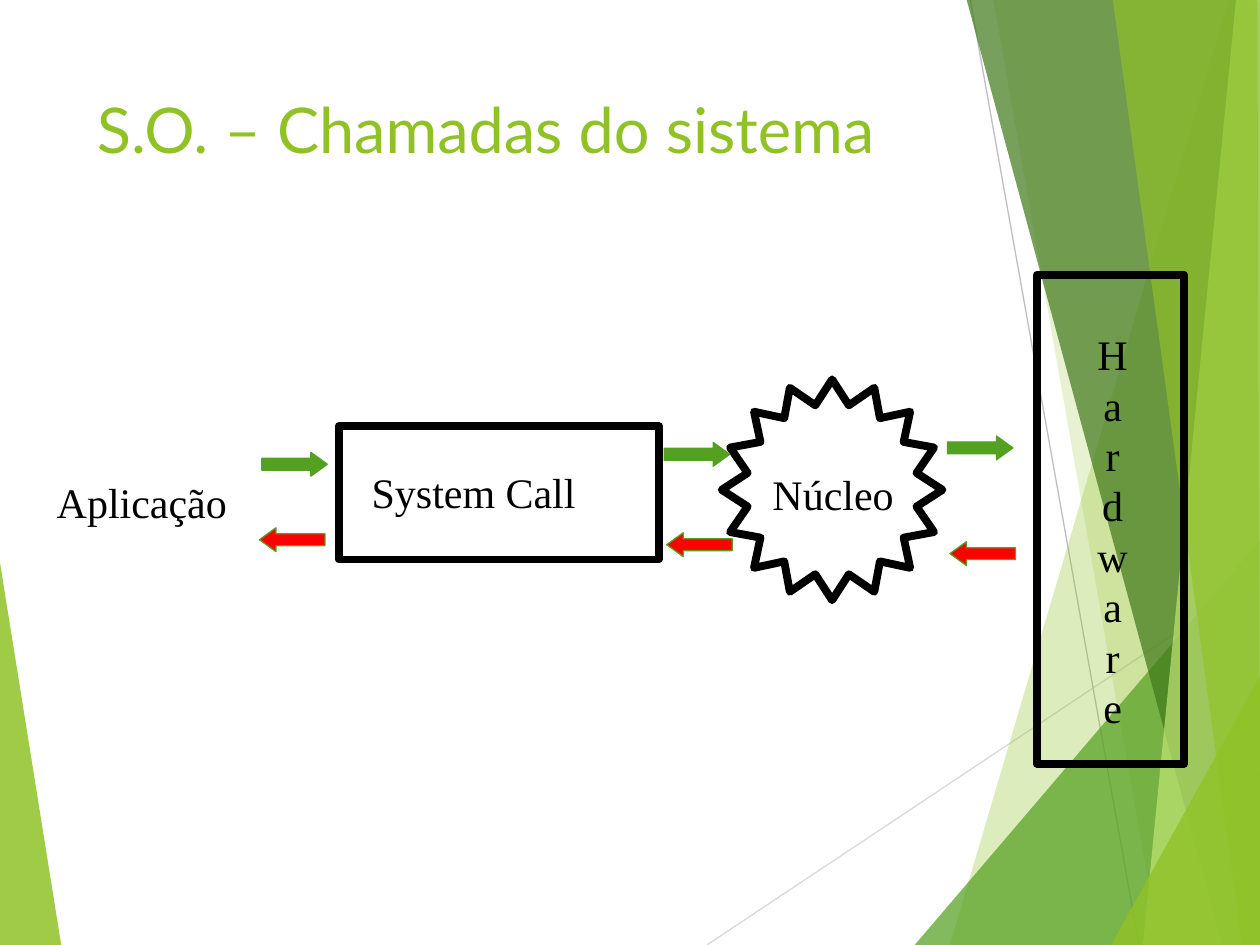
import pptx
import pptx.util
import pptx.dml.color
import pptx.enum.shapes
import pptx.enum.text
import pptx.oxml
import pptx.oxml.ns
from lxml import etree
from pptx.util import Cm

COLORS = {
    "lime": "90C226", "green": "54A021", "forest": "3F7819", "pale": "C0E474",
    "light_grey": "D9D9D9", "grey": "BFBFBF", "black": "000000", "red": "FF0000",
}
SHAPES = pptx.enum.shapes.MSO_SHAPE
ALIGN = pptx.enum.text.PP_ALIGN
ANCHOR = pptx.enum.text.MSO_ANCHOR
FIT = pptx.enum.text.MSO_AUTO_SIZE

LEFT_FACET = [([(-0.03, 11.15), (1.24, 19.08), (-0.03, 19.05)], "lime", 85)]
RAYS = [
    ((14.25, 19.05), (25.43, 11.61), "light_grey"),
    ((19.56, 0), (22.96, 19.05), "grey"),
]
RIGHT_FACETS = [
    ([(24.77, 0), (19.15, 19.05), (25.45, 19.08), (25.43, 0.03)], "lime", 30),
    ([(20.02, -0.03), (23.37, 19.05), (25.43, 19.05), (25.43, -0.03)], "lime", 20),
    ([(18.44, 19.05), (25.4, 10.9), (25.43, 19.05)], "green", 72),
    ([(19.48, -0.03), (24.64, 19.05), (25.43, 19.02), (25.43, -0.03)], "forest", 70),
    ([(24.92, -0.03), (23.04, 19.05), (25.43, 19.05), (25.4, -0.03)], "pale", 70),
    ([(22.43, -0.03), (25.04, 19.05), (25.4, 19.05), (25.35, -0.03)], "lime", 65),
    ([(22.4, 19.05), (25.43, 13.59), (25.43, 19.05)], "lime", 80),
]
STAGES = [
    (SHAPES.RECTANGLE, (6.83, 8.59, 6.45, 2.69)),
    (SHAPES.STAR_16_POINT, (14.55, 7.65, 4.45, 4.45)),
    (SHAPES.RECTANGLE, (20.9, 5.54, 2.97, 9.86)),
]
LABELS = [
    (["Aplicação"], (0.89, 9.47, 3.94, 1.27)),
    (["System Call"], (7.24, 9.27, 4.62, 1.27)),
    (["Núcleo"], (15.32, 9.32, 2.95, 1.27)),
    (list("Hardware"), (21.87, 6.5, 1.12, 8.38)),
]
REQUESTS = [(5.28, 9.12), (13.39, 8.92), (19.1, 8.79)]
REPLIES = [(19.15, 10.92), (13.44, 10.74), (5.23, 10.64)]


def rgb(color):
    """Return the named colour."""
    return pptx.dml.color.RGBColor.from_string(COLORS[color])


def lengths(values):
    """Turn centimetres into lengths."""
    return [Cm(value) for value in values]


def add_facet(slide, corners, color, opacity):
    """Add a translucent background polygon."""
    points = [lengths(corner) for corner in corners]
    builder = slide.shapes.build_freeform(*points[0])
    builder.add_line_segments(points[1:], close=True)
    facet = builder.convert_to_shape()
    facet.shadow.inherit = False
    facet.fill.solid()
    facet.fill.fore_color.rgb = rgb(color)
    facet.line.fill.background()
    tint = facet.element.spPr.find(".//" + pptx.oxml.ns.qn("a:srgbClr"))
    etree.SubElement(tint, pptx.oxml.ns.qn("a:alpha"), val=str(opacity * 1000))


def add_ray(slide, start, end, color):
    """Add a thin background line."""
    ray = slide.shapes.add_connector(
        pptx.enum.shapes.MSO_CONNECTOR.STRAIGHT, *lengths(start + end))
    ray.line.color.rgb = rgb(color)
    ray.line.width = pptx.util.Pt(0.75)
    etree.SubElement(ray.element.spPr, pptx.oxml.ns.qn("a:effectLst"))


def add_stage(slide, outline, box):
    """Add an unfilled shape with a heavy outline."""
    stage = slide.shapes.add_shape(outline, *lengths(box))
    stage.shadow.inherit = False
    stage.fill.background()
    stage.line.color.rgb = rgb("black")
    stage.line.width = pptx.util.Pt(4.5)
    if outline == SHAPES.STAR_16_POINT:
        stage.adjustments[0] = 0.39


def add_arrow(slide, corner, color, rotation):
    """Add a small block arrow."""
    arrow = slide.shapes.add_shape(
        SHAPES.RIGHT_ARROW, *lengths(corner), Cm(1.32), Cm(0.48))
    arrow.adjustments[1] = 0.69
    arrow.rotation = rotation
    arrow.shadow.inherit = False
    arrow.fill.solid()
    arrow.fill.fore_color.rgb = rgb(color)
    arrow.line.color.rgb = rgb("green")
    arrow.line.width = pptx.util.Pt(0.75)


def add_run(paragraph, wording, font, size, color):
    """Add a formatted run to a paragraph."""
    run = paragraph.add_run()
    run.text = wording
    run.font.name = font
    run.font.size = pptx.util.Pt(size)
    run.font.color.rgb = rgb(color)


def add_label(slide, lines, box):
    """Add a centred label with one paragraph per line."""
    frame = slide.shapes.add_textbox(*lengths(box)).text_frame
    frame.word_wrap = False
    frame.auto_size = FIT.SHAPE_TO_FIT_TEXT
    frame.vertical_anchor = ANCHOR.MIDDLE
    for index, line in enumerate(lines):
        paragraph = frame.add_paragraph() if index else frame.paragraphs[0]
        paragraph.alignment = ALIGN.CENTER
        paragraph.line_spacing = pptx.util.Pt(28.8)
        add_run(paragraph, line, "Times New Roman", 24, "black")


def set_title(slide, wording):
    """Format the title and bring it in front of the background."""
    title = slide.shapes.title
    title.left, title.top, title.width, title.height = lengths((1.7, 1.7, 17.63, 3.66))
    title.text_frame.vertical_anchor = ANCHOR.TOP
    title.text_frame.auto_size = FIT.NONE
    heading = title.text_frame.paragraphs[0]
    heading.alignment = ALIGN.LEFT
    add_run(heading, wording, "Lato", 36, "lime")
    title.element.getparent().append(title.element)


def main():
    """Build the system call slide."""
    deck = pptx.Presentation()
    deck.slide_width, deck.slide_height = Cm(25.4), Cm(19.05)
    slide = deck.slides.add_slide(deck.slide_layouts[5])
    for facet in LEFT_FACET:
        add_facet(slide, *facet)
    for ray in RAYS:
        add_ray(slide, *ray)
    for facet in RIGHT_FACETS:
        add_facet(slide, *facet)
    set_title(slide, "S.O. – Chamadas do sistema")
    for stage in STAGES:
        add_stage(slide, *stage)
    for label in LABELS:
        add_label(slide, *label)
    for corner in REQUESTS:
        add_arrow(slide, corner, "green", 0)
    for corner in REPLIES:
        add_arrow(slide, corner, "red", 180)
    deck.save("out.pptx")


if __name__ == "__main__":
    main()
